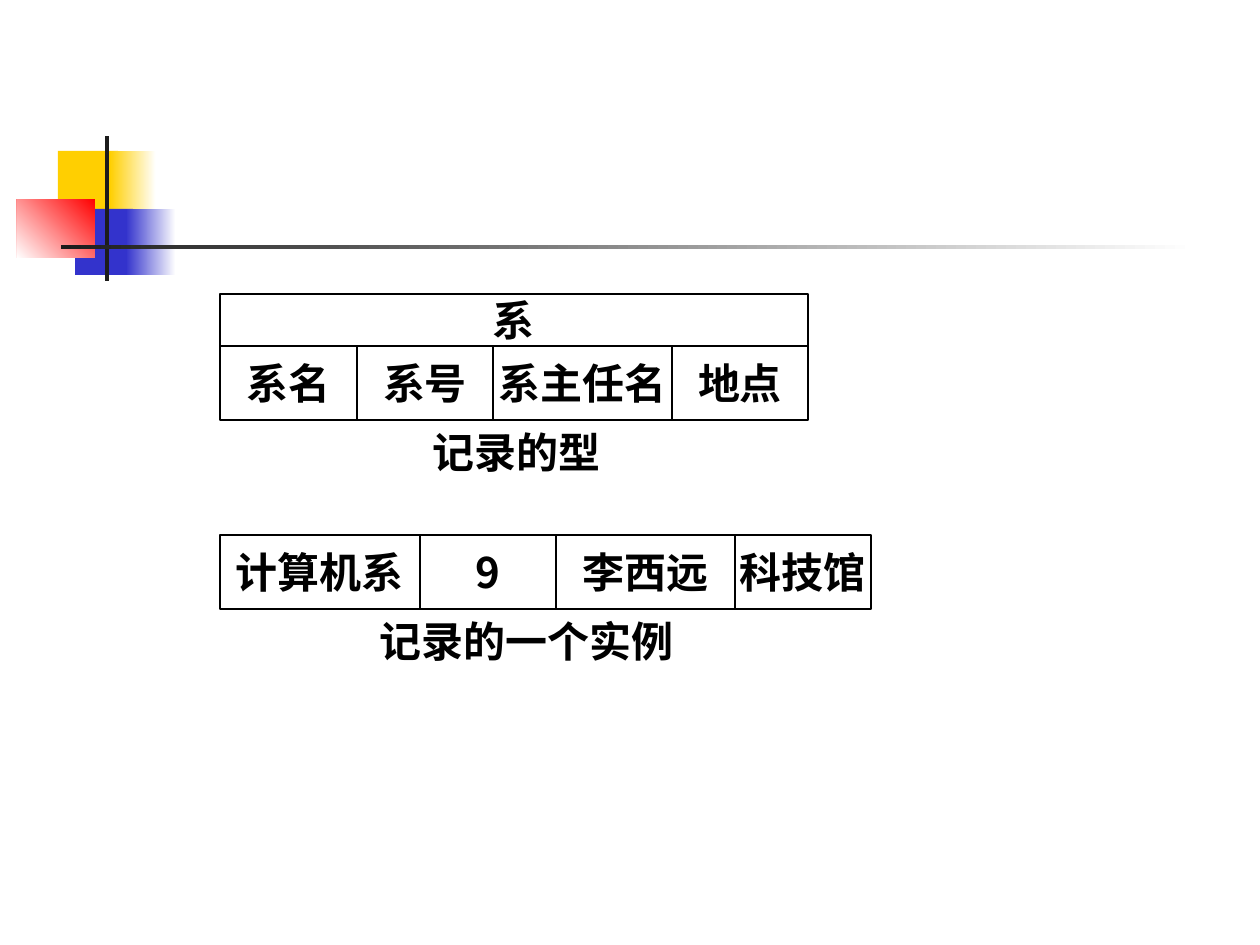
from pptx import Presentation
from pptx.dml.color import RGBColor
from pptx.enum.shapes import MSO_SHAPE as Shape
from pptx.enum.text import MSO_ANCHOR as Anchor, MSO_AUTO_SIZE as AutoSize, PP_ALIGN as Align
from pptx.oxml.ns import qn
from pptx.util import Emu, Pt
from lxml.etree import SubElement

PX = 914400 / 126
COLORS = {
    "yellow": "FFCF01", "blue": "3333CC", "red": "FF0000",
    "dark": "1C1C1C", "white": "FFFFFF", "ink": "000000",
}
LATIN, CJK = "Roboto", "Noto Sans CJK SC"


def color(name):
    return RGBColor.from_string(COLORS[name])


def px(*lengths):
    return [Emu(round(length * PX)) for length in lengths]


def write(frame, text, font=LATIN, size=24, align=Align.CENTER, anchor=Anchor.MIDDLE, wrap=False):
    frame.word_wrap = wrap
    frame.vertical_anchor = anchor
    paragraph = frame.paragraphs[0]
    paragraph.alignment = align
    run = paragraph.add_run()
    run.text = text
    run.font.name = font
    run.font.size = Pt(size)
    run.font.bold = True
    run.font.color.rgb = color("ink")
    SubElement(run.font._element, qn("a:ea"), typeface=CJK)


class Board:
    def __init__(self, slide):
        self.slide = slide
        self.border = Pt(0.75)

    def rect(self, x, y, w, h):
        shape = self.slide.shapes.add_shape(Shape.RECTANGLE, *px(x, y, w, h))
        shape.shadow.inherit = False
        return shape

    def block(self, x, y, w, h, start, end=None, angle=180):
        """Borderless block, plain or fading from start to end."""
        shape = self.rect(x, y, w, h)
        shape.line.fill.background()
        if end is None:
            shape.fill.solid()
            shape.fill.fore_color.rgb = color(start)
            return
        shape.fill.gradient()
        shape.fill.gradient_angle = angle
        for stop, name in zip(shape.fill.gradient_stops, (start, end)):
            stop.color.rgb = color(name)

    def row(self, x, y, h, cells, font):
        """Bordered boxes side by side, given as (text, width)."""
        for text, w in cells:
            box = self.rect(x, y, w, h)
            box.fill.background()
            box.line.color.rgb = color("ink")
            box.line.width = self.border
            write(box.text_frame, text, font=font)
            x += w

    def caption(self, x, y, w, h, text, font):
        frame = self.slide.shapes.add_textbox(*px(x, y, w, h)).text_frame
        write(frame, text, font=font, align=Align.LEFT, anchor=Anchor.TOP, wrap=True)
        frame.auto_size = AutoSize.SHAPE_TO_FIT_TEXT


def main():
    deck = Presentation()
    deck.slide_width, deck.slide_height = px(1260, 945)
    board = Board(deck.slides.add_slide(deck.slide_layouts[6]))

    # Corner ornament and rule
    board.block(58, 151, 60, 66, "yellow")
    board.block(110, 151, 46, 66, "white", "yellow")
    board.block(75, 209, 58, 66, "blue")
    board.block(126, 209, 50, 66, "white", "blue")
    board.block(17, 199, 78, 59, "red", "white", angle=225)
    board.block(105, 136, 4, 145, "dark")
    board.block(61, 245, 1134, 4, "white", "dark")

    # Record type
    left = 220
    board.row(left, 294, 52, [("系", 588)], LATIN)
    fields = [("系名", 137), ("系号", 136), ("系主任名", 179), ("地点", 136)]
    board.row(left, 346, 74, fields, LATIN)
    board.caption(420, 420, 284, 63, "记录的型", LATIN)

    # Record instance
    values = [("计算机系", 200), ("9", 136), ("李西远", 179), ("科技馆", 136)]
    board.row(left, 535, 74, values, CJK)
    board.caption(367, 609, 388, 63, "记录的一个实例", CJK)

    deck.save("out.pptx")


if __name__ == "__main__":
    main()
